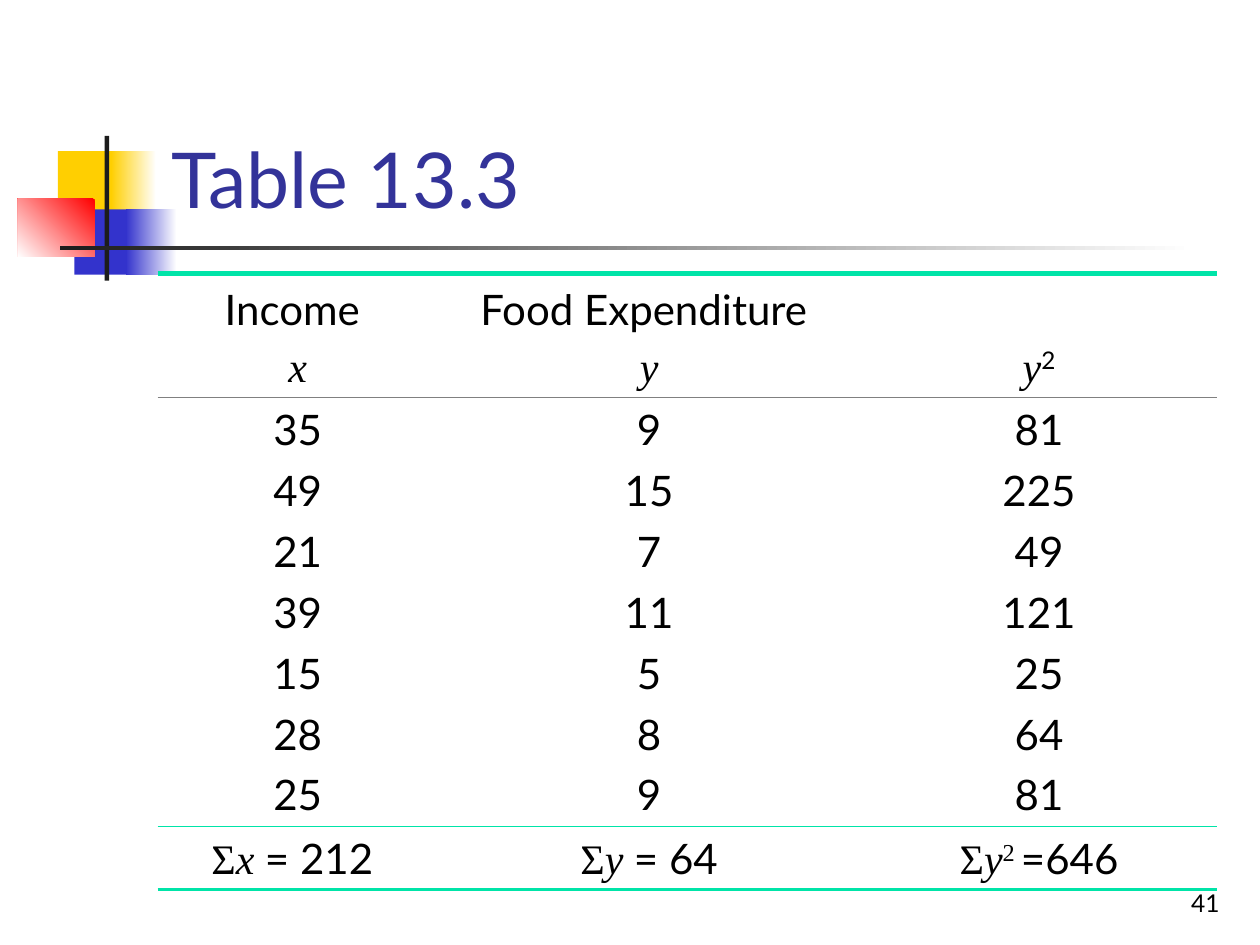
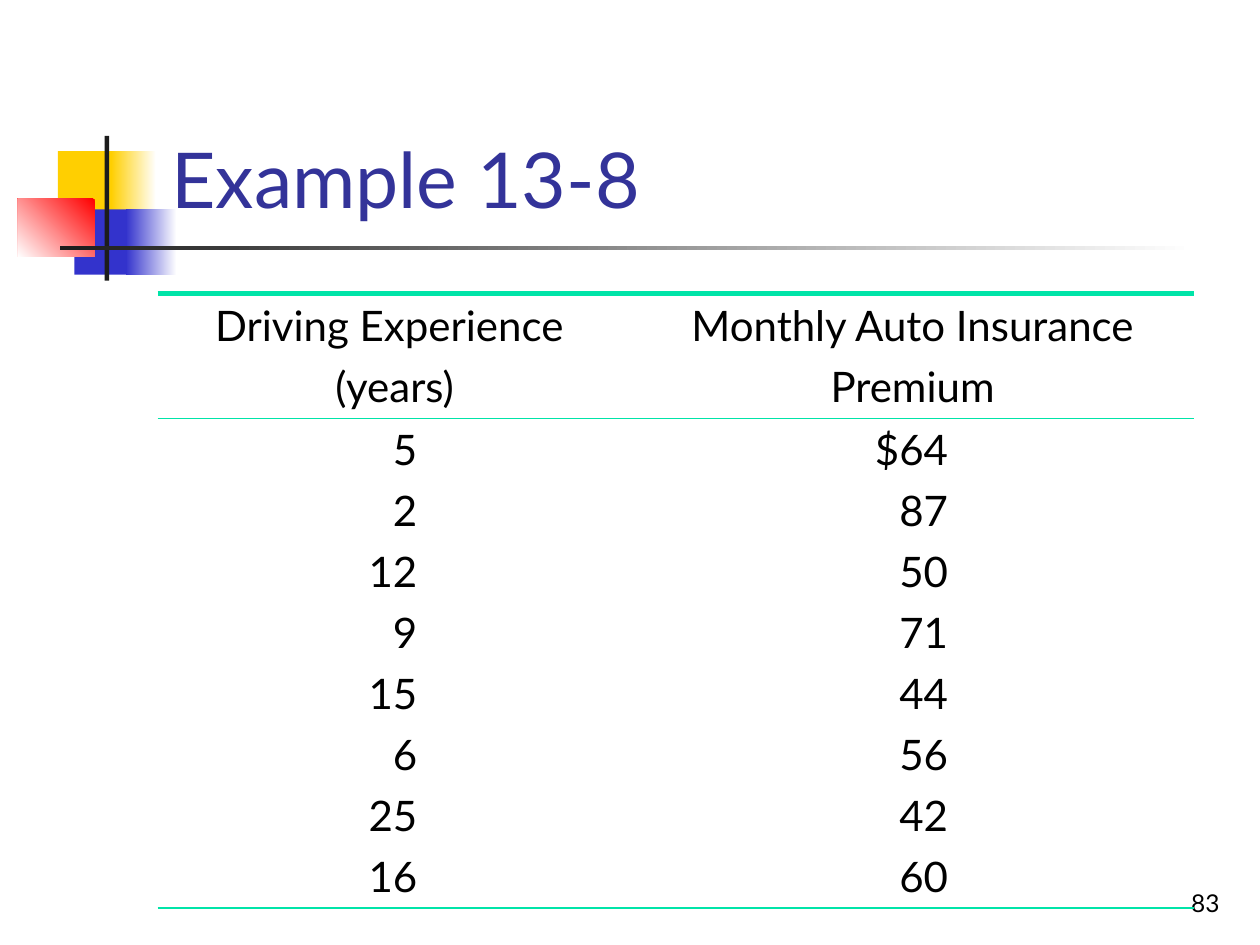
from lxml.etree import SubElement
from pptx import Presentation
from pptx.dml.color import RGBColor
from pptx.enum.shapes import MSO_SHAPE as Preset
from pptx.enum.text import MSO_ANCHOR as Anchor, MSO_AUTO_SIZE as AutoSize, PP_ALIGN as Align
from pptx.oxml.ns import qn
from pptx.util import Cm, Pt

COLORS = {
    "white": "FFFFFF", "yellow": "FFCF01", "blue": "3333CC", "red": "FF0000",
    "dark": "1C1C1C", "title": "333399", "text": "000000", "rule": "00E4A8",
    "gray": "808080",
}
FORMATS = {
    "title": {"name": "Lato", "size": Pt(44)},
    "number": {"name": "Lato", "size": Pt(14)},
    "plain": {"name": "Lato", "size": Pt(24)},
    "symbol": {"name": "Times New Roman", "size": Pt(24)},
    "variable": {"name": "Times New Roman", "size": Pt(24), "italic": True},
}
RAISED = {"plain power": "plain", "symbol power": "symbol"}
FRAME = {"word_wrap": True, "auto_size": AutoSize.NONE, "vertical_anchor": Anchor.BOTTOM}
TITLE_ONLY = 5
THIN, MEDIUM, THICK = 0.45, 1.5, 3

MOTIF = [
    ((1.17, 3.05, 1.22, 1.32), ["yellow"], 0),
    ((2.24, 3.05, 0.91, 1.32), ["white", "yellow"], 180),
    ((1.5, 4.22, 1.17, 1.32), ["blue"], 0),
    ((2.54, 4.22, 1.02, 1.32), ["white", "blue"], 180),
    ((0.36, 4.01, 1.55, 1.17), ["red", "white"], 225),
    ((2.11, 2.74, 0.09, 2.92), ["dark"], 0),
    ((1.22, 4.95, 22.86, 0.09), ["white", "dark"], 180),
]


def rgb(color):
    return RGBColor.from_string(COLORS[color])


def apply(target, values):
    for name, value in values.items():
        setattr(target, name, value)


def column(*values):
    return [str(value) for value in values]


class Deck:
    def __init__(self):
        self.presentation = Presentation()
        apply(self.presentation, {"slide_width": Cm(25.4), "slide_height": Cm(19.05)})
        self.slide = None

    def add_slide(self, title, number):
        layout = self.presentation.slide_layouts[TITLE_ONLY]
        self.slide = self.presentation.slides.add_slide(layout)
        for box, colors, angle in MOTIF:
            self.block(box, colors, angle)
        self.title(title)
        self.page_number(number)

    def block(self, box, colors, angle):
        shape = self.slide.shapes.add_shape(Preset.RECTANGLE, *map(Cm, box))
        shape.shadow.inherit = False
        shape.line.fill.background()
        if len(colors) == 1:
            shape.fill.solid()
            shape.fill.fore_color.rgb = rgb(colors[0])
            return
        shape.fill.gradient()
        shape.fill.gradient_angle = angle
        for stop, color in zip(shape.fill.gradient_stops, colors):
            stop.color.rgb = rgb(color)

    def title(self, text):
        shape = self.slide.shapes.title
        apply(shape, {"left": Cm(3.2), "top": Cm(0.58), "width": Cm(21.64), "height": Cm(4.06)})
        apply(shape.text_frame, FRAME)
        self.add_lines(shape.text_frame, [[(text, "title")]], Align.LEFT, color="title")

    def page_number(self, number):
        shape = self.slide.shapes.add_textbox(Cm(19.56), Cm(17.35), Cm(5.28), Cm(1.27))
        apply(shape.text_frame, FRAME)
        self.add_lines(shape.text_frame, [[(str(number), "number")]], Align.RIGHT)

    def add_lines(self, frame, lines, alignment, color="text", before=0):
        for index, line in enumerate(lines):
            paragraph = frame.add_paragraph() if index else frame.paragraphs[0]
            apply(paragraph, {"alignment": alignment, "space_before": Pt(before)})
            for text, style in [(line, "plain")] if isinstance(line, str) else line:
                run = paragraph.add_run()
                run.text = text
                apply(run.font, FORMATS[RAISED.get(style, style)])
                run.font.color.rgb = rgb(color)
                if style in RAISED:
                    run._r.get_or_add_rPr().set("baseline", "30000")

    def border(self, cell, side, rule):
        properties = cell._tc.get_or_add_tcPr()
        if rule is None:
            line = SubElement(properties, qn(f"a:{side}"), w="0")
            SubElement(line, qn("a:noFill"))
            return
        color, width = rule
        line = SubElement(properties, qn(f"a:{side}"), w=str(Pt(width)))
        fill = SubElement(line, qn("a:solidFill"))
        SubElement(fill, qn("a:srgbClr"), val=COLORS[color])

    def table(self, left, top, widths, heights, rows, rules, anchor=Anchor.TOP, insets=None):
        size = [Cm(sum(widths)), Cm(sum(heights))]
        shape = self.slide.shapes.add_table(len(rows), len(widths), Cm(left), Cm(top), *size)
        table = shape.table
        apply(table, {"first_row": False, "horz_banding": False})
        for part, width in zip(table.columns, widths):
            part.width = Cm(width)
        for part, height in zip(table.rows, heights):
            part.height = Cm(height)
        for r, row in enumerate(rows):
            for c, lines in enumerate(row):
                cell = table.cell(r, c)
                sides = {"lnL": None, "lnR": None, "lnT": rules[r], "lnB": rules[r + 1]}
                for side, rule in sides.items():
                    self.border(cell, side, rule)
                cell.fill.background()
                cell.vertical_anchor = Anchor.TOP if r else anchor
                alignment = Align.CENTER
                if r and insets:
                    alignment = Align.RIGHT
                    cell.margin_right = Cm(insets[c])
                self.add_lines(cell.text_frame, lines, alignment, before=6)


def main():
    deck = Deck()

    deck.add_slide("Table 13.3", 41)
    x, y = [("x", "variable")], [("y", "variable")]
    sigma = ("Σ", "symbol")
    food_rows = [
        [["Income ", x], ["Food Expenditure ", y], [y + [("2", "plain power")]]],
        [
            column(35, 49, 21, 39, 15, 28, 25),
            column(9, 15, 7, 11, 5, 8, 9),
            column(81, 225, 49, 121, 25, 64, 81),
        ],
        [
            [[sigma, ("x ", "variable"), ("= 212 ", "plain")]],
            [[sigma, ("y ", "variable"), ("= 64", "plain")]],
            [[sigma, *y, ("2 ", "symbol power"), ("=646", "plain")]],
        ],
    ]
    food_rules = [("rule", THICK), ("gray", THIN), ("rule", THIN), ("rule", MEDIUM)]
    deck.table(3.18, 5.51, [5.64, 8.53, 7.19], [2.51, 8.64, 1.27],
               food_rows, food_rules, anchor=Anchor.BOTTOM)

    deck.add_slide("Example 13-8", 83)
    premium_rows = [
        [["Driving Experience ", "(years)"], ["Monthly Auto Insurance", "Premium"]],
        [
            column(5, 2, 12, 9, 15, 6, 25, 16),
            column("$64", 87, 50, 71, 44, 56, 42, 60),
        ],
    ]
    premium_rules = [("rule", THICK), ("rule", THIN), ("rule", MEDIUM)]
    deck.table(3.18, 5.92, [9.55, 11.33], [2.51, 9.88],
               premium_rows, premium_rules, insets=[4.32, 4.95])

    deck.presentation.save("out.pptx")


if __name__ == "__main__":
    main()
